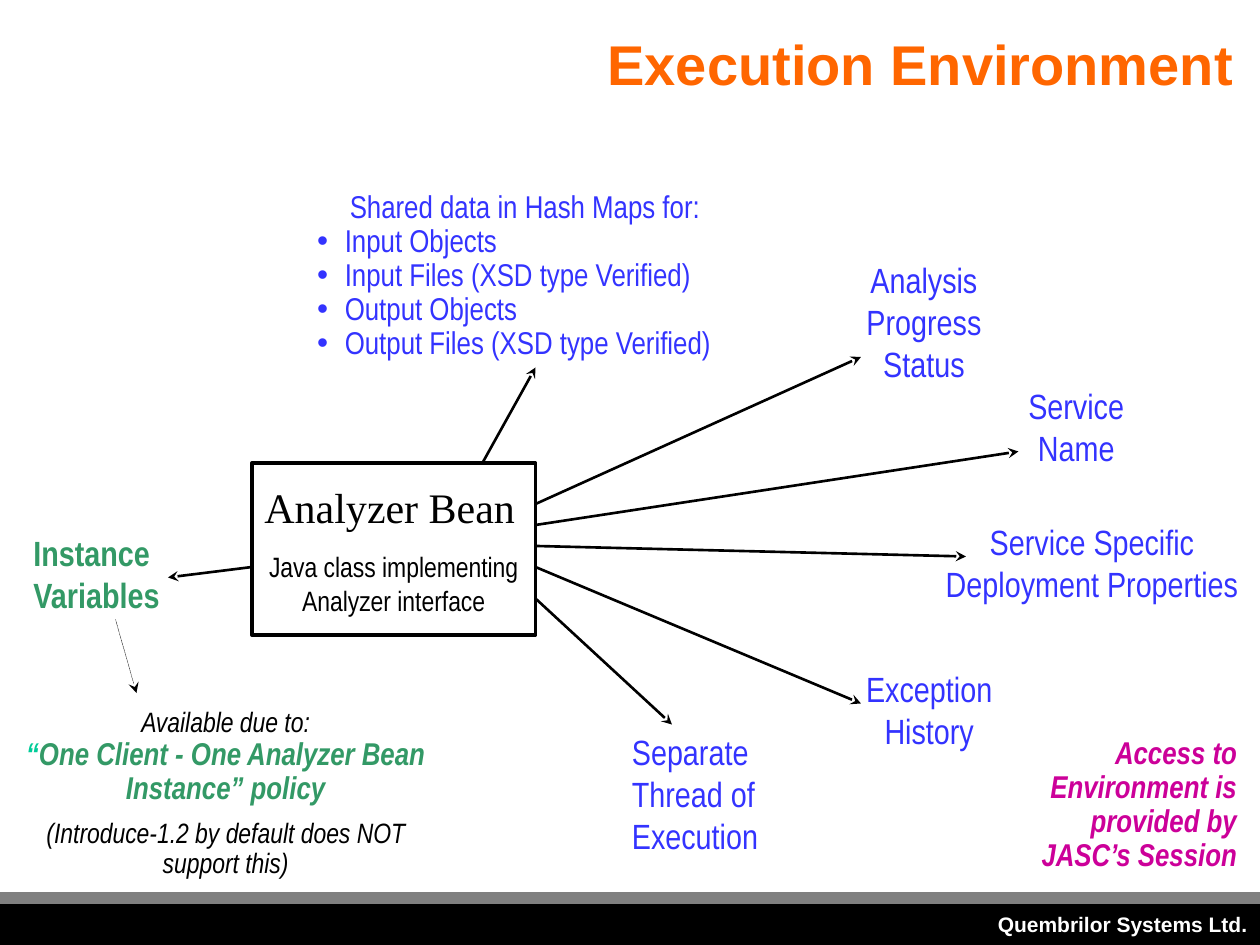
from lxml import etree
from pptx import Presentation, util as u
from pptx.dml.color import RGBColor
from pptx.enum import dml, shapes, text
from pptx.oxml.ns import qn

COLUMNS, ROWS = 120, 90
SLIDE_WIDTH, SLIDE_HEIGHT = u.Inches(10), u.Inches(7.5)
BLACK, BLUE, GREEN, MAGENTA = "000000", "3333FF", "339966", "CC0099"
NARROW = "Arial Narrow"
LEFT, CENTER, RIGHT = text.PP_ALIGN.LEFT, text.PP_ALIGN.CENTER, text.PP_ALIGN.RIGHT

TOPICS = [
    ("Separate Thread of Execution", (59, 69, 15, 13.2), LEFT),
    ("Service Specific Deployment Properties", (88, 49, 32, 9.2), CENTER),
    ("Service Name", (95, 36, 15, 9.2), CENTER),
    ("Analysis Progress Status", (79, 24, 18, 13.2), CENTER),
    ("Exception History", (81, 63, 15, 9.2), CENTER),
]
BEAN_LINKS = [
    ((24, 54), (16, 55)),
    ((46, 44), (51, 35)),
    ((51, 48), (82, 34)),
    ((51, 50), (97, 43)),
    ((51, 52), (92, 53)),
    ((51, 54), (82, 67)),
    ((51, 57), (64, 69)),
]
SHARED_DATA = [
    "Input Objects",
    "Input Files (XSD type Verified)",
    "Output Objects",
    "Output Files (XSD type Verified)",
]


def color(value):
    return RGBColor.from_string(value)


def across(columns):
    return round(SLIDE_WIDTH * columns / COLUMNS)


def down(rows):
    return round(SLIDE_HEIGHT * rows / ROWS)


def grid(column, row, width, height):
    return across(column), down(row), across(width), down(height)


def prepare(frame):
    frame.word_wrap = True
    frame.auto_size = text.MSO_AUTO_SIZE.NONE
    frame.vertical_anchor = text.MSO_ANCHOR.MIDDLE
    return frame


def next_paragraph(frame):
    first = frame.paragraphs[0]
    return frame.add_paragraph() if first.runs else first


def write(frame, words, size, ink, align=CENTER, name=NARROW, bold=False,
          italic=False, before=0, spacing=1.0, bullet=None):
    paragraph = next_paragraph(frame)
    paragraph.text = words
    if bullet is not None:
        set_bullet(paragraph, bullet, ink)
    paragraph.alignment = align
    paragraph.line_spacing = spacing
    paragraph.space_before = u.Pt(before)
    font = paragraph.font
    font.name, font.size = name, u.Pt(size)
    font.bold, font.italic = bold, italic
    font.color.rgb = color(ink)
    return paragraph


def set_bullet(paragraph, mark, ink):
    properties = paragraph._p.get_or_add_pPr()
    indent = u.Inches(0.22) if mark else 0
    properties.set("marL", str(indent))
    properties.set("indent", str(-indent))
    if mark:
        tint = etree.SubElement(properties, qn("a:buClr"))
        etree.SubElement(tint, qn("a:srgbClr"), val=ink)
        etree.SubElement(properties, qn("a:buChar"), char=mark)
    else:
        etree.SubElement(properties, qn("a:buNone"))


def place(placeholder, *cells):
    (placeholder.left, placeholder.top,
     placeholder.width, placeholder.height) = grid(*cells)
    return prepare(placeholder.text_frame)


def add_box(slide, cells, fill=None, line=BLACK, weight=0.75):
    box = slide.shapes.add_shape(shapes.MSO_SHAPE.RECTANGLE, *grid(*cells))
    box.shadow.inherit = False
    if fill:
        box.fill.solid()
        box.fill.fore_color.rgb = color(fill)
    else:
        box.fill.background()
    box.line.color.rgb = color(line)
    box.line.width = u.Pt(weight)
    return prepare(box.text_frame)


def add_label(slide, cells):
    return prepare(slide.shapes.add_textbox(*grid(*cells)).text_frame)


def add_arrow(slide, start, end, weight=1.5, dash=None):
    arrow = slide.shapes.add_connector(
        shapes.MSO_CONNECTOR.STRAIGHT,
        across(start[0]), down(start[1]), across(end[0]), down(end[1]))
    arrow.line.color.rgb = color(BLACK)
    arrow.line.width = u.Pt(weight)
    if dash:
        arrow.line.dash_style = dash
    etree.SubElement(arrow.line._get_or_add_ln(), qn("a:tailEnd"), type="stealth")
    etree.SubElement(arrow._element.spPr, qn("a:effectLst"))


def add_footer(slide):
    footer = add_box(slide, (0, 86, 120, 4), fill=BLACK)
    write(footer, "Quembrilor Systems Ltd.", 12, "FFFFFF", RIGHT, "Arial", bold=True)
    add_box(slide, (0, 85, 120, 1), fill="808080", line="808080")


def add_bean(slide):
    bean = add_box(slide, (24, 44.1, 27, 16.4), weight=2)
    bean.margin_top = bean.margin_bottom = u.Inches(0.15)
    write(bean, "Analyzer Bean", 24, BLACK, LEFT, "Times New Roman")
    write(bean, "Java class implementing Analyzer interface", 16, BLACK, before=10)


def add_policy(slide):
    policy = add_label(slide, (0, 66.8, 43, 17.6))
    write(policy, "Available due to:", 16, BLACK, italic=True, spacing=0.9)
    quote = write(policy, "“", 18, GREEN, bold=True, italic=True, spacing=0.9)
    quote.runs[0].font.color.rgb = color("00CC99")
    quote.add_run().text = "One Client - One Analyzer Bean Instance” policy"
    write(policy, "(Introduce-1.2 by default does NOT support this)", 16, BLACK,
          italic=True, before=7, spacing=0.9)


def main():
    deck = Presentation()
    deck.slide_width, deck.slide_height = SLIDE_WIDTH, SLIDE_HEIGHT
    slide = deck.slides.add_slide(deck.slide_layouts[1])

    title = place(slide.shapes.title, 28, 2, 90.7, 8)
    write(title, "Execution Environment", 32, "FF6600", RIGHT, "Arial", bold=True)
    shared = place(slide.placeholders[1], 29, 17.6, 42, 17.4)
    write(shared, "Shared data in Hash Maps for:", 18, BLUE, spacing=0.9, bullet="")
    for item in SHARED_DATA:
        write(shared, item, 18, BLUE, LEFT, spacing=0.9, bullet="•")

    add_footer(slide)
    add_bean(slide)
    variables = add_label(slide, (2, 50, 15, 9.2))
    write(variables, "Instance\nVariables", 20, GREEN, LEFT, bold=True)
    for words, cells, align in TOPICS:
        write(add_label(slide, cells), words, 20, BLUE, align)
    add_policy(slide)
    access = add_label(slide, (95, 69.6, 24, 14.2))
    write(access, "Access to Environment is provided by JASC’s Session", 18,
          MAGENTA, RIGHT, bold=True, italic=True, spacing=0.9)

    for start, end in BEAN_LINKS:
        add_arrow(slide, start, end)
    add_arrow(slide, (11, 59), (13, 66), 0.25, dml.MSO_LINE.ROUND_DOT)
    deck.save("out.pptx")


if __name__ == "__main__":
    main()
